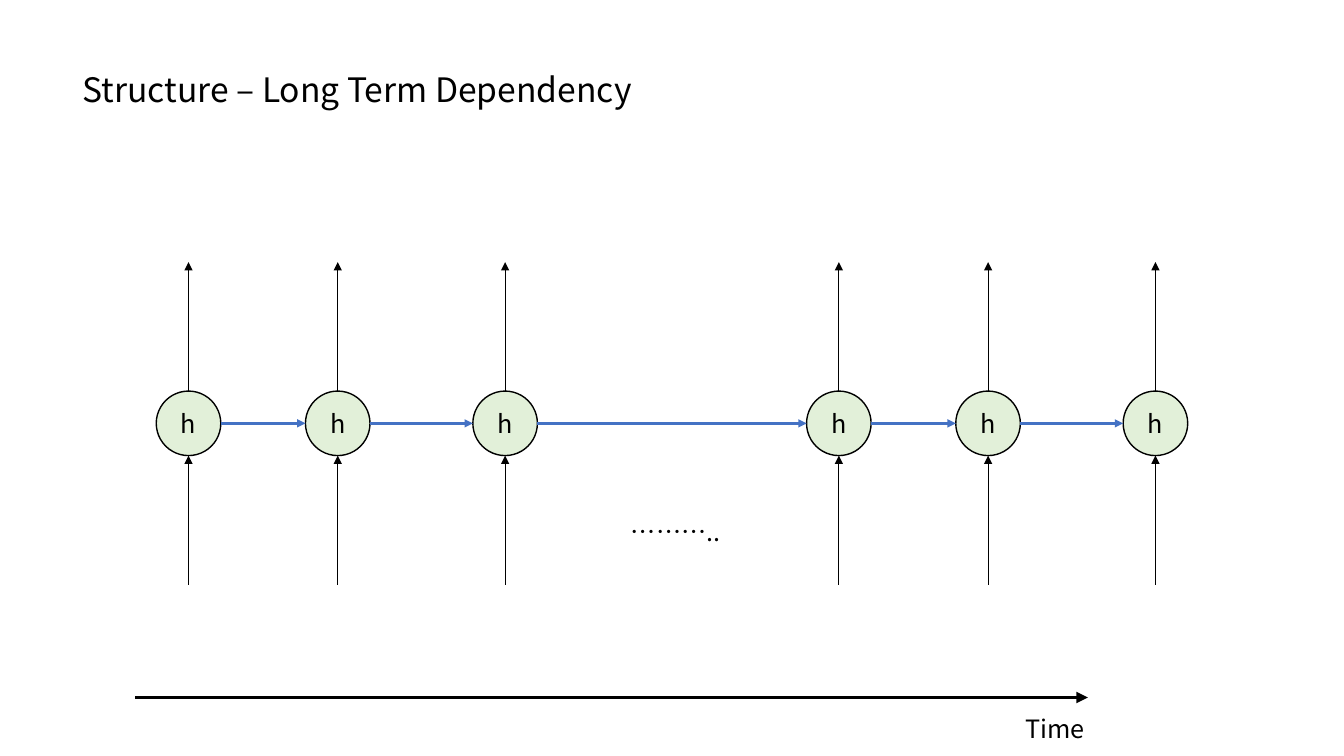
from dataclasses import dataclass
from itertools import pairwise

from lxml import etree
from pptx import Presentation
from pptx.dml.color import RGBColor
from pptx.enum.shapes import MSO_CONNECTOR, MSO_SHAPE
from pptx.enum.text import MSO_ANCHOR, PP_ALIGN
from pptx.oxml.ns import qn
from pptx.util import Inches, Pt

STRAIGHT = MSO_CONNECTOR.STRAIGHT
OVAL = MSO_SHAPE.OVAL
TOP, MIDDLE = MSO_ANCHOR.TOP, MSO_ANCHOR.MIDDLE
LEFT, CENTER = PP_ALIGN.LEFT, PP_ALIGN.CENTER


@dataclass(frozen=True)
class Theme:
    """Colours, font and type sizes of the slide."""
    ink: RGBColor = RGBColor(0, 0, 0)
    link: RGBColor = RGBColor(0x44, 0x72, 0xC4)
    cell: RGBColor = RGBColor(0xE2, 0xF0, 0xD9)
    font: str = "Noto Sans CJK KR"
    head: int = 24
    body: int = 18


class Deck:
    """Draws styled elements on the current slide."""

    def __init__(self, theme):
        self.theme = theme
        self.show = Presentation()
        self.show.slide_width = Inches(13.33)
        self.show.slide_height = Inches(7.5)
        self.slide = self.show.slides.add_slide(self.show.slide_layouts[5])

    def letter(self, shape, text, size, align=LEFT, anchor=TOP):
        frame = shape.text_frame
        frame.text = text
        frame.word_wrap = True
        frame.vertical_anchor = anchor
        para = frame.paragraphs[0]
        para.alignment = align
        for run in para.runs:
            run.font.name = self.theme.font
            run.font.size = Pt(size)
            run.font.color.rgb = self.theme.ink
            props = run._r.get_or_add_rPr()
            etree.SubElement(props, qn("a:ea"), typeface=self.theme.font)

    def title(self, text, left, top, width, height):
        shape = self.slide.shapes.title
        shape.left, shape.top = Inches(left), Inches(top)
        shape.width, shape.height = Inches(width), Inches(height)
        self.letter(shape, text, self.theme.head)

    def label(self, text, left, top, width, height):
        box = self.slide.shapes.add_textbox(
            Inches(left), Inches(top), Inches(width), Inches(height))
        self.letter(box, text, self.theme.body)

    def arrow(self, start, end, color, weight):
        line = self.slide.shapes.add_connector(
            STRAIGHT, *(Inches(v) for v in (*start, *end)))
        line.line.color.rgb = color
        line.line.width = Pt(weight)
        props = line._element.spPr
        etree.SubElement(props.find(qn("a:ln")), qn("a:tailEnd"), type="triangle")
        etree.SubElement(props, qn("a:effectLst"))

    def node(self, text, x, y, radius):
        size = Inches(2 * radius)
        oval = self.slide.shapes.add_shape(
            OVAL, Inches(x - radius), Inches(y - radius), size, size)
        oval.shadow.inherit = False
        oval.fill.solid()
        oval.fill.fore_color.rgb = self.theme.cell
        oval.line.color.rgb = self.theme.ink
        oval.line.width = Pt(1)
        self.letter(oval, text, self.theme.body, CENTER, MIDDLE)


def main():
    theme = Theme()
    deck = Deck(theme)
    deck.title("Structure – Long Term Dependency", 0.72, 0.63, 6.72, 0.5)

    mid, radius, stem = 4.2, 0.32, 1.28
    first = (1.87, 3.35, 5.01)
    shift = 6.45
    steps = [x + move for move in (0, shift) for x in first]
    for x in steps:
        deck.arrow((x, mid - radius), (x, mid - radius - stem), theme.ink, 0.5)
        deck.arrow((x, mid + radius + stem), (x, mid + radius), theme.ink, 0.5)
        deck.node("h", x, mid, radius)
    for x, after in pairwise(steps):
        deck.arrow((x + radius, mid), (after - radius, mid), theme.link, 1.75)

    deck.label("………..", 6.16, 5.07, 1.1, 0.4)
    deck.arrow((1.34, 6.92), (10.79, 6.92), theme.ink, 2.75)
    deck.label("Time", 10.07, 7.03, 1.19, 0.4)
    deck.show.save("out.pptx")


if __name__ == "__main__":
    main()
